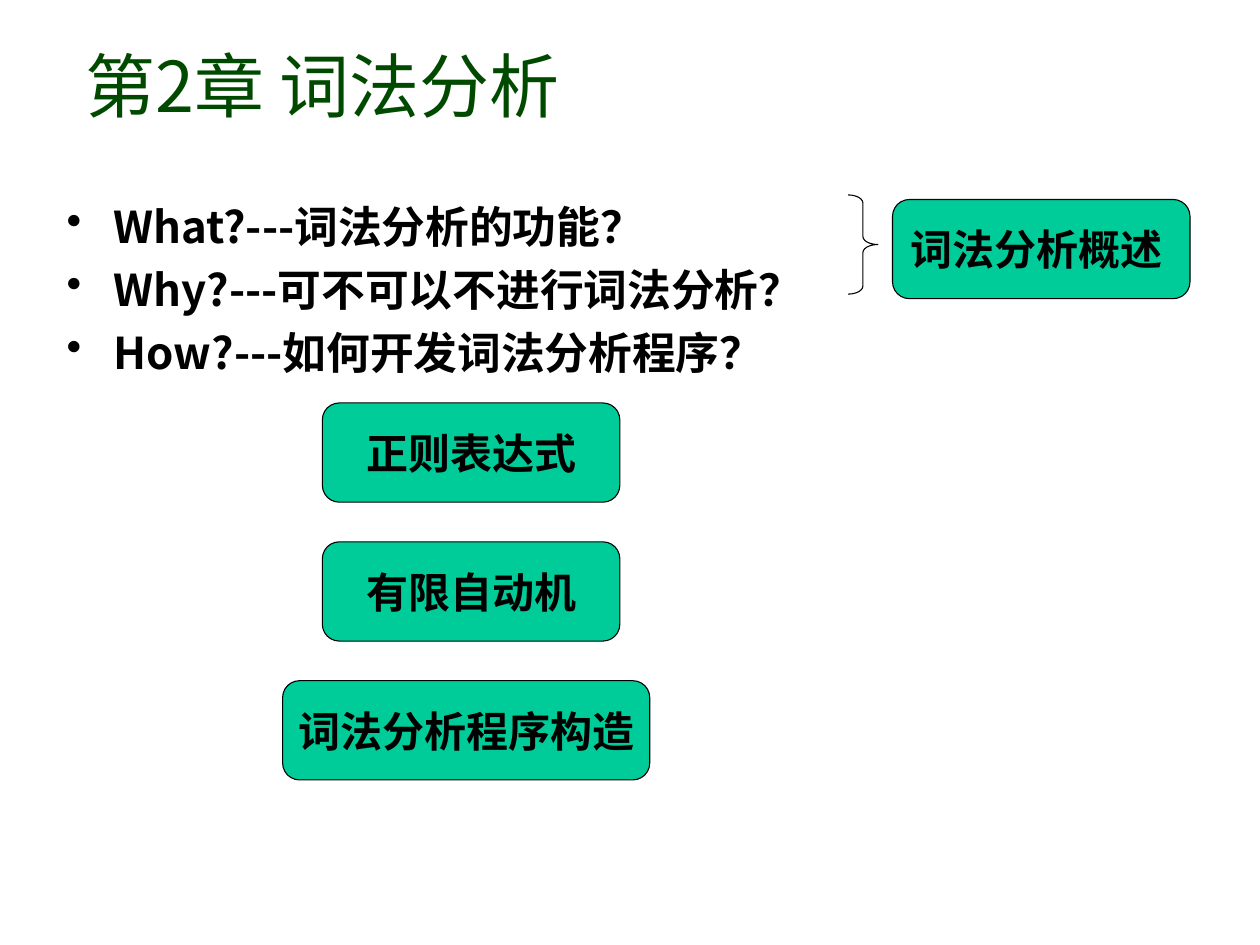
from dataclasses import dataclass

from lxml import etree
from pptx import Presentation
from pptx.dml.color import RGBColor
from pptx.enum import shapes, text
from pptx.oxml.ns import qn
from pptx.util import Pt


@dataclass(frozen=True)
class Theme:
    font: str = "Noto Sans CJK KR"
    title_color: RGBColor = RGBColor(0x00, 0x4A, 0x00)
    ink: RGBColor = RGBColor(0x00, 0x00, 0x00)
    topic_fill: RGBColor = RGBColor(0x00, 0xCC, 0x99)
    title_size: float = 40
    question_size: float = 25
    topic_size: float = 24
    line_width: float = 0.62


@dataclass(frozen=True)
class Box:
    left: float
    top: float
    width: float
    height: float

    def lengths(self) -> tuple:
        return Pt(self.left), Pt(self.top), Pt(self.width), Pt(self.height)


@dataclass(frozen=True)
class Topic:
    label: str
    box: Box


THEME = Theme()
TOPIC_WIDTH, TOPIC_HEIGHT = 170, 56.7
STEP_TOP, STEP_PITCH = 230.3, 79.35
QUESTION_INDENT = 27

QUESTIONS = [
    "What?---词法分析的功能？",
    "Why?---可不可以不进行词法分析？",
    "How?---如何开发词法分析程序？",
]
STEPS = [
    ("正则表达式", 184.2, TOPIC_WIDTH),
    ("有限自动机", 184.2, TOPIC_WIDTH),
    ("词法分析程序构造", 161.5, 209.8),
]
TOPICS = [Topic("词法分析概述 ", Box(510, 114, TOPIC_WIDTH, TOPIC_HEIGHT))] + [
    Topic(label, Box(left, STEP_TOP + index * STEP_PITCH, width, TOPIC_HEIGHT))
    for index, (label, left, width) in enumerate(STEPS)
]


def add_run(paragraph, words: str, size: float, color: RGBColor, bold: bool) -> None:
    run = paragraph.add_run()
    run.text = words
    run.font.size = Pt(size)
    run.font.bold = bold
    run.font.color.rgb = color
    run.font.name = THEME.font
    east_asian = etree.SubElement(run.font._element, qn("a:ea"))
    east_asian.set("typeface", THEME.font)


def add_bullet(paragraph) -> None:
    properties = paragraph._p.get_or_add_pPr()
    properties.set("marL", str(Pt(QUESTION_INDENT)))
    properties.set("indent", str(-Pt(QUESTION_INDENT)))
    etree.SubElement(properties, qn("a:buChar")).set("char", "•")


def add_title(slide, words: str) -> None:
    frame = slide.shapes.add_textbox(*Box(41.8, 12.2, 611.3, 72).lengths()).text_frame
    frame.word_wrap = True
    frame.vertical_anchor = text.MSO_ANCHOR.MIDDLE
    add_run(frame.paragraphs[0], words, THEME.title_size, THEME.title_color, False)


def add_questions(slide, questions: list[str]) -> None:
    frame = slide.shapes.add_textbox(*Box(31, 108, 617.8, 252.7).lengths()).text_frame
    frame.word_wrap = True
    frame.margin_top = Pt(6)
    for index, question in enumerate(questions):
        paragraph = frame.add_paragraph() if index else frame.paragraphs[0]
        add_bullet(paragraph)
        paragraph.line_spacing = Pt(30)
        if index:
            paragraph.space_before = Pt(6.2)
        add_run(paragraph, question, THEME.question_size, THEME.ink, True)


def add_outlined_shape(slide, kind: shapes.MSO_SHAPE, box: Box):
    shape = slide.shapes.add_shape(kind, *box.lengths())
    shape.shadow.inherit = False
    shape.line.color.rgb = THEME.ink
    shape.line.width = Pt(THEME.line_width)
    return shape


def add_brace(slide, box: Box) -> None:
    brace = add_outlined_shape(slide, shapes.MSO_SHAPE.RIGHT_BRACE, box)
    brace.fill.background()
    brace.adjustments[0] = 0.27
    brace.adjustments[1] = 0.5


def add_topic(slide, topic: Topic) -> None:
    shape = add_outlined_shape(slide, shapes.MSO_SHAPE.ROUNDED_RECTANGLE, topic.box)
    shape.adjustments[0] = 0.17
    shape.fill.solid()
    shape.fill.fore_color.rgb = THEME.topic_fill
    frame = shape.text_frame
    frame.word_wrap = False
    frame.vertical_anchor = text.MSO_ANCHOR.MIDDLE
    paragraph = frame.paragraphs[0]
    paragraph.alignment = text.PP_ALIGN.CENTER
    add_run(paragraph, topic.label, THEME.topic_size, THEME.ink, True)


def main() -> None:
    presentation = Presentation()
    presentation.slide_width, presentation.slide_height = Pt(720), Pt(540)
    slide = presentation.slides.add_slide(presentation.slide_layouts[6])
    add_title(slide, "第2章 词法分析")
    add_questions(slide, QUESTIONS)
    add_brace(slide, Box(484.6, 111.4, 17, 56.7))
    for topic in TOPICS:
        add_topic(slide, topic)
    presentation.save("out.pptx")


if __name__ == "__main__":
    main()
